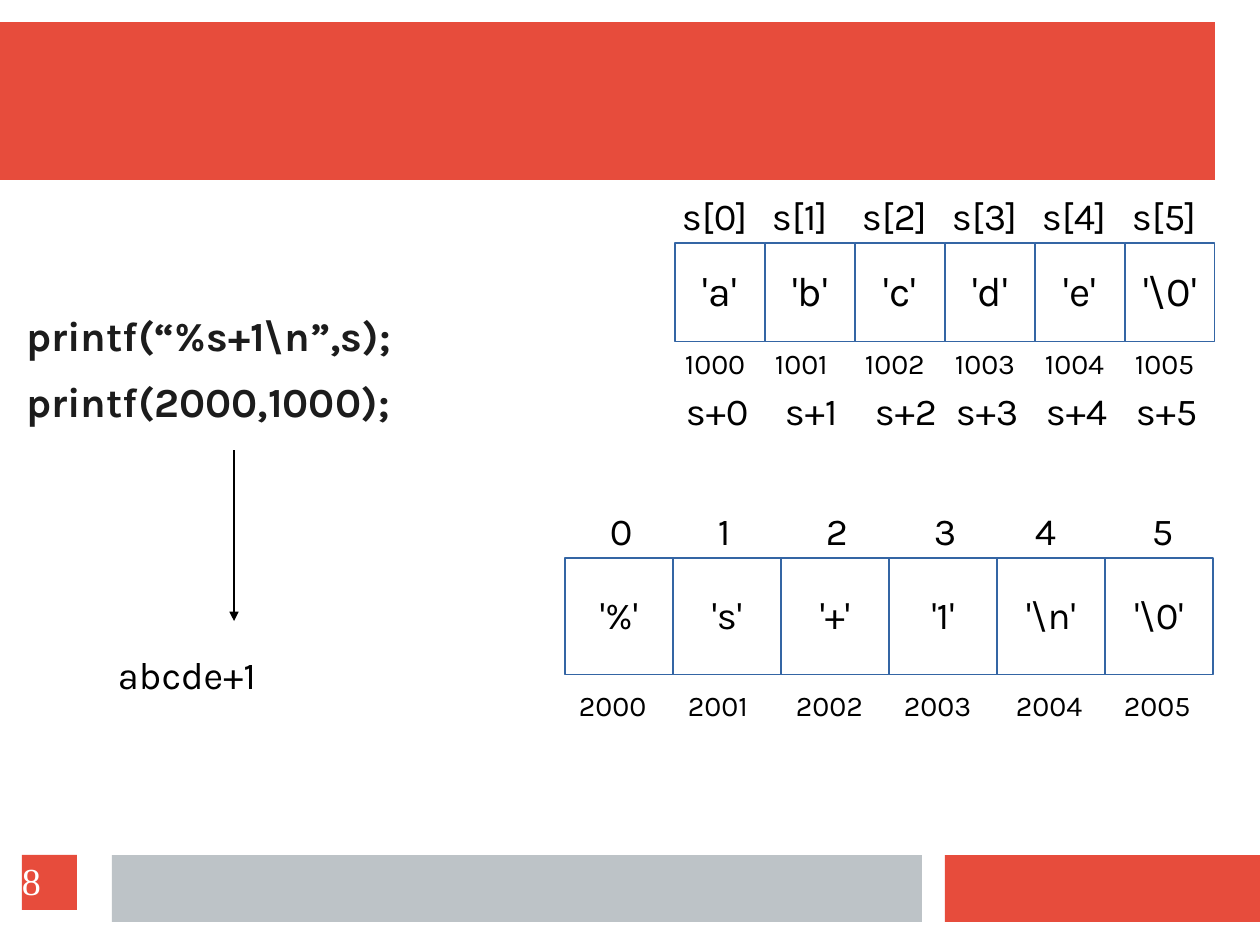
from lxml import etree
from pptx import Presentation
from pptx.dml.color import RGBColor as RGB
from pptx.enum.shapes import MSO_CONNECTOR as CONN, MSO_SHAPE as SHAPE
from pptx.enum.text import MSO_ANCHOR as ANCHOR, MSO_AUTO_SIZE as AUTO, PP_ALIGN as ALIGN
from pptx.oxml.ns import qn
from pptx.util import Pt

PX = 8000  # EMU per px
COLORS = {"red": "E74C3C", "grey": "BDC3C7", "white": "FFFFFF",
          "blue": "3465A4", "black": "000000", "ink": "1C1C1C"}


def add_rect(x, y, w, h, fill, line=None):
    sp = s.shapes.add_shape(SHAPE.RECTANGLE, x * PX, y * PX, w * PX, h * PX)
    sp.shadow.inherit = False
    sp.fill.solid()
    sp.fill.fore_color.rgb = RGB.from_string(COLORS[fill])
    if line:
        sp.line.color.rgb = RGB.from_string(COLORS[line])
        sp.line.width = Pt(0.75)
    else:
        sp.line.fill.background()
    return sp


def write(sp, text, size, color="black", name="Karla", align=ALIGN.LEFT,
          anchor=ANCHOR.TOP, inset=(11, 6), bold=False, after=0):
    tf = sp.text_frame
    tf.text = text
    dx, dy = (v * PX for v in inset)
    frame = {"word_wrap": True, "auto_size": AUTO.NONE, "vertical_anchor": anchor,
             "margin_left": dx, "margin_right": dx, "margin_top": dy, "margin_bottom": dy}
    for key, value in frame.items():
        setattr(tf, key, value)
    for p in tf.paragraphs:
        pPr = p._p.get_or_add_pPr()
        pPr.set("marL", "0")
        pPr.set("indent", "0")
        etree.SubElement(pPr, qn("a:buNone"))
        para = {"alignment": align, "line_spacing": 0.97,
                "space_before": Pt(0), "space_after": Pt(after)}
        for key, value in para.items():
            setattr(p, key, value)
        for r in p.runs:
            for key, value in {"name": name, "size": Pt(size), "bold": bold}.items():
                setattr(r.font, key, value)
            r.font.color.rgb = RGB.from_string(COLORS[color])


prs = Presentation()
prs.slide_width, prs.slide_height = 1260 * PX, 945 * PX
s = prs.slides.add_slide(prs.slide_layouts[1])
title, body = s.placeholders
title._element.getparent().remove(title._element)

# Title band and footer bars
for bar in [(0, 22, 1215, 158, "red"), (945, 855, 315, 67, "red"),
            (112, 855, 810, 67, "grey")]:
    add_rect(*bar)

# printf calls
body.left, body.top, body.width, body.height = (v * PX for v in (26, 312, 520, 516))
write(body, "printf(“%s+1\\n”,s);\nprintf(2000,1000);", 26, "ink",
      inset=(0, 1), bold=True, after=11.5)

# Memory cells: left, top, width, height, font size, contents
arrays = [
    (675, 243, 90, 99, 26, ["'a'", "'b'", "'c'", "'d'", "'e'", "'\\0'"]),
    (565, 558, 108, 117, 24, ["'%'", "'s'", "'+'", "'1'", "'\\n'", "'\\0'"]),
]
for x, y, w, h, size, values in arrays:
    for i, value in enumerate(values):
        cell = add_rect(x + i * w, y, w, h, "white", "blue")
        write(cell, value, size, align=ALIGN.CENTER, anchor=ANCHOR.MIDDLE)

# Labels around the cells: text pattern, first number, lefts, top, width, height, size
labels = [
    ("s[{}]", 0, range(671, 1211, 90), 189, 96, 57, 24),
    ("{}", 1000, range(674, 1214, 90), 342, 100, 46, 18),
    ("s+{}", 0, [675, 774, 864, 945, 1035, 1125], 384, 98, 57, 24),
    ("{}", 0, [599, 707, 815, 923, 1024, 1141], 504, 47, 57, 24),
    ("{}", 2000, [568, 677, 785, 893, 1005, 1113], 684, 100, 46, 18),
    ("abcde+1", 0, [107], 648, 195, 57, 24),
]
for pattern, first, lefts, y, w, h, size in labels:
    for i, x in enumerate(lefts):
        box = s.shapes.add_textbox(x * PX, y * PX, w * PX, h * PX)
        write(box, pattern.format(first + i), size)

# Arrow to the output
arrow = s.shapes.add_connector(CONN.STRAIGHT, 234 * PX, 450 * PX, 234 * PX, 621 * PX)
arrow.line.color.rgb = RGB.from_string(COLORS["black"])
arrow.line.width = Pt(0.75)
etree.SubElement(arrow.line._get_or_add_ln(), qn("a:tailEnd"), type="triangle")
etree.SubElement(arrow._element.spPr, qn("a:effectLst"))

# Page number
page = add_rect(22, 855, 55, 55, "red")
write(page, "8", 24, "white", "Times New Roman", anchor=ANCHOR.MIDDLE, inset=(0, 0))

prs.save("out.pptx")
